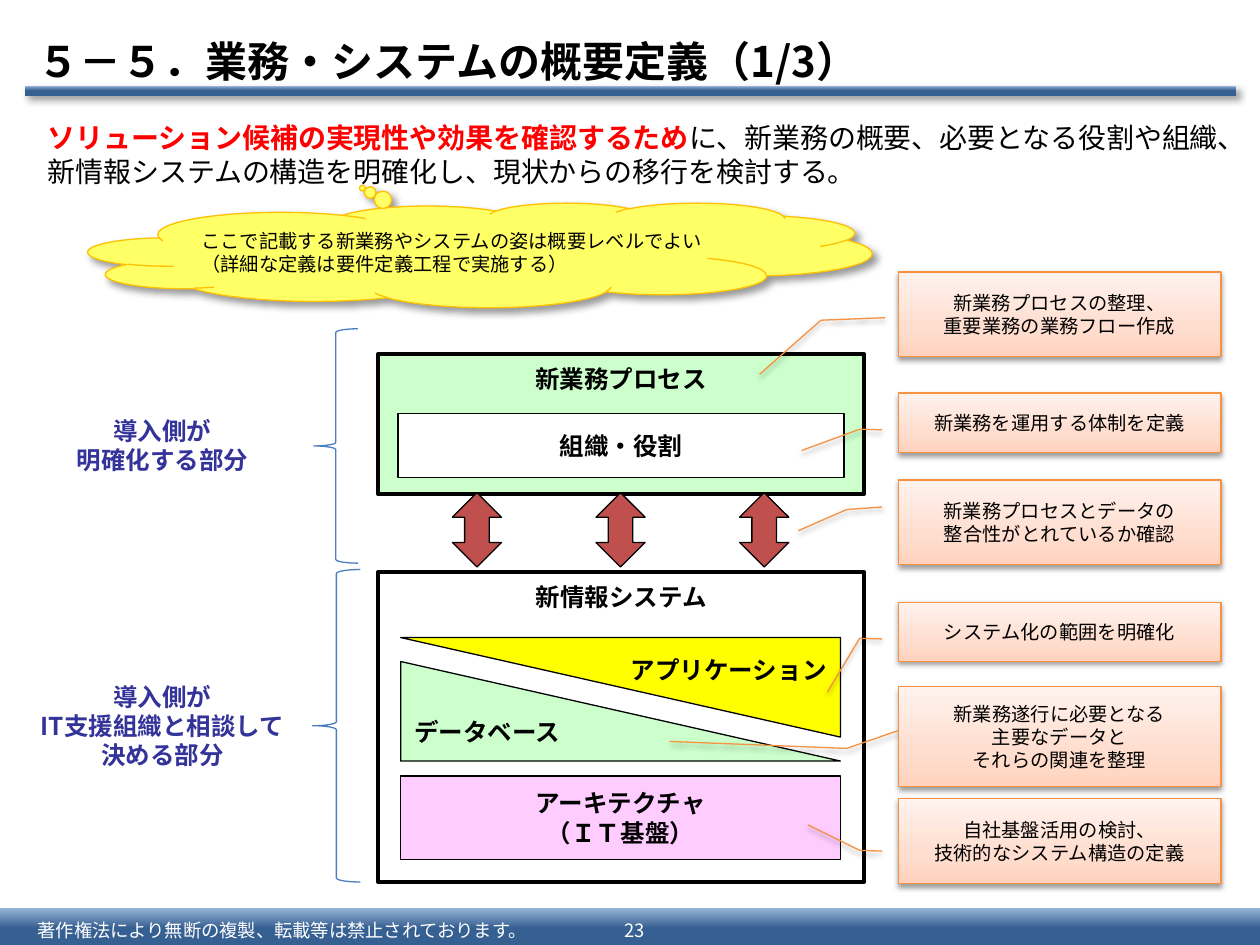
from lxml import etree
from pptx import Presentation
from pptx.dml.color import RGBColor
from pptx.enum.shapes import MSO_SHAPE
from pptx.enum.text import MSO_ANCHOR, MSO_AUTO_SIZE, PP_ALIGN
from pptx.oxml.ns import qn
from pptx.util import Inches, Pt

COLUMNS, ROWS = 100, 75
TITLE_ONLY = 5

RECT = MSO_SHAPE.RECTANGLE
TRIANGLE = MSO_SHAPE.RIGHT_TRIANGLE
ARROW = MSO_SHAPE.UP_DOWN_ARROW
CLOUD = MSO_SHAPE.CLOUD_CALLOUT
CALLOUT = MSO_SHAPE.LINE_CALLOUT_2
BRACE = MSO_SHAPE.LEFT_BRACE
LEFT, CENTER, RIGHT = PP_ALIGN.LEFT, PP_ALIGN.CENTER, PP_ALIGN.RIGHT
TOP, MIDDLE = MSO_ANCHOR.TOP, MSO_ANCHOR.MIDDLE

BLACK = RGBColor(0x00, 0x00, 0x00)
WHITE = RGBColor(0xFF, 0xFF, 0xFF)
RED = RGBColor(0xFF, 0x00, 0x00)
NAVY = RGBColor(0x33, 0x33, 0x99)
BLUE = RGBColor(0x4B, 0x7E, 0xBC)
GREEN = RGBColor(0xCC, 0xFF, 0xCC)
YELLOW = RGBColor(0xFF, 0xFF, 0x00)
PALE_YELLOW = RGBColor(0xFF, 0xFF, 0x66)
GOLD = RGBColor(0xFF, 0xC0, 0x00)
PINK = RGBColor(0xFF, 0xCC, 0xFF)
BRICK = RGBColor(0xC0, 0x50, 0x4D)
ORANGE = RGBColor(0xF6, 0x92, 0x40)
STEEL = RGBColor(0x37, 0x60, 0x92)
PALE_STEEL = RGBColor(0x95, 0xB3, 0xD7)

BAND = [(0, STEEL), (50, STEEL), (100, PALE_STEEL)]
PEACH = [(0, RGBColor(0xFF, 0xD2, 0xBD)), (35, RGBColor(0xFF, 0xDE, 0xD0)),
         (100, RGBColor(0xFF, 0xF2, 0xED))]
# Opacity %, blur pt, distance pt, direction in degrees
DIAGONAL_SHADOW = (40, 4, 3, 45)
DROP_SHADOW = (38, 3.1, 1.6, 90)


class Deck:
    """Slide style; every box is (column, row, columns, rows) on the grid."""

    font = "Noto Sans CJK JP"

    def __init__(self):
        self.prs = Presentation()
        self.prs.slide_width, self.prs.slide_height = Inches(10), Inches(7.5)
        self.col = self.prs.slide_width / COLUMNS
        self.row = self.prs.slide_height / ROWS
        self.s = self.prs.slides.add_slide(self.prs.slide_layouts[TITLE_ONLY])

    def place(self, box):
        x, y, w, h = box
        return (round(x * self.col), round(y * self.row),
                round(w * self.col), round(h * self.row))

    def add_lines(self, sp, text, size, color=BLACK, bold=False, align=CENTER,
                  anchor=MIDDLE, margins=(0.1, 0.05), wrap=True):
        """Text is lines, or a list of (text, color, bold) runs in one line."""
        tf = sp.text_frame
        tf.auto_size = MSO_AUTO_SIZE.NONE
        tf.word_wrap, tf.vertical_anchor = wrap, anchor
        tf.margin_left = tf.margin_right = Inches(margins[0])
        tf.margin_top = tf.margin_bottom = Inches(margins[1])
        if isinstance(text, str):
            lines = [[(line, color, bold)] for line in text.split("\n")]
        else:
            lines = [text]
        for i, runs in enumerate(lines):
            p = tf.add_paragraph() if i else tf.paragraphs[0]
            p.alignment = align
            for words, run_color, run_bold in runs:
                r = p.add_run()
                r.text = words
                r.font.size, r.font.bold = Pt(size), run_bold
                r.font.color.rgb = run_color
                r.font.name = self.font
                etree.SubElement(r.font._element, qn("a:ea"), typeface=self.font)

    def title(self, box, text):
        sp = self.s.shapes.title
        sp.left, sp.top, sp.width, sp.height = self.place(box)
        self.add_lines(sp, text, 24, bold=True, align=LEFT)

    def text(self, box, text, size=14, **style):
        sp = self.s.shapes.add_textbox(*self.place(box))
        self.add_lines(sp, text, size, **style)

    def gradient(self, sp, stops):
        sp.fill.gradient()
        sp.fill.gradient_angle = 90
        stop_list = sp._element.spPr.find(qn("a:gradFill")).find(qn("a:gsLst"))
        stop_list.clear()
        for pos, color in stops:
            gs = etree.SubElement(stop_list, qn("a:gs"), pos=str(pos * 1000))
            etree.SubElement(gs, qn("a:srgbClr"), val=str(color))

    def cast_shadow(self, sp, shadow):
        opacity, blur, dist, angle = shadow
        effects = sp._element.spPr.find(qn("a:effectLst"))
        outer = etree.SubElement(
            effects, qn("a:outerShdw"), blurRad=str(Pt(blur)),
            dist=str(Pt(dist)), dir=str(angle * 60000), rotWithShape="0")
        color = etree.SubElement(outer, qn("a:srgbClr"), val=str(BLACK))
        etree.SubElement(color, qn("a:alpha"), val=str(opacity * 1000))

    def shape(self, kind, box, fill=None, line=BLACK, width=0.75, adj=(),
              shadow=None, rotation=0):
        sp = self.s.shapes.add_shape(kind, *self.place(box))
        sp.rotation = rotation
        for i, value in enumerate(adj):
            sp.adjustments[i] = value
        if fill is None:
            sp.fill.background()
        elif isinstance(fill, list):
            self.gradient(sp, fill)
        else:
            sp.fill.solid()
            sp.fill.fore_color.rgb = fill
        if line is None:
            sp.line.fill.background()
        else:
            sp.line.color.rgb = line
            sp.line.width = Pt(width)
        sp.shadow.inherit = False
        if shadow:
            self.cast_shadow(sp, shadow)
        return sp

    def block(self, box, fill, text, width=0.75, anchor=MIDDLE):
        sp = self.shape(RECT, box, fill, width=width)
        self.add_lines(sp, text, 14, bold=True, anchor=anchor,
                       margins=(0.08, 0.08))

    def note(self, top, height, adj, text):
        sp = self.shape(CALLOUT, (71.3, top, 25.6, height), PEACH, ORANGE,
                        adj=adj, shadow=DROP_SHADOW)
        self.add_lines(sp, text, 11, margins=(0.04, 0.04), wrap=False)


def main():
    d = Deck()
    d.shape(RECT, (0, 72.1, 100, 3.1), BAND, None)
    d.shape(RECT, (2, 6.8, 96.1, 0.8), BAND, None, shadow=DIAGONAL_SHADOW)
    footer = dict(size=10.5, color=WHITE, margins=(0.1, 0.04))
    d.text((2, 72.5, 42.5, 2.6), "著作権法により無断の複製、転載等は禁止されております。",
           align=LEFT, **footer)
    d.text((47.6, 72.5, 5.5, 2.6), "23", **footer)

    d.title((2, 2.1, 98, 5.4), "５－５．業務・システムの概要定義（1/3）")
    d.text((2.8, 9.1, 95.8, 6.4), [
        ("ソリューション候補の実現性や効果を確認するため", RED, True),
        ("に、新業務の概要、必要となる役割や組織、"
         "新情報システムの構造を明確化し、現状からの移行を検討する。", BLACK, False),
    ], 16, align=LEFT, anchor=TOP)

    d.block((30, 45.4, 38.6, 24.6), WHITE, "新情報システム", 2.25, TOP)
    d.shape(TRIANGLE, (31.8, 50.6, 34.9, 7.9), YELLOW, rotation=180)
    d.block((31.8, 61.6, 34.9, 6.6), PINK, "アーキテクチャ\n（ＩＴ基盤）")
    d.shape(TRIANGLE, (31.8, 52.5, 34.9, 7.9), GREEN)
    d.block((30, 28.1, 38.6, 11.1), GREEN, "新業務プロセス", 2.25, TOP)
    d.block((31.6, 32.8, 35.4, 5.1), WHITE, "組織・役割")
    for i in range(3):
        d.shape(ARROW, (35.9 + 11.4 * i, 39.1, 3.9, 5.9), BRICK)
    d.text((41.8, 51.5, 24.8, 3.4), "アプリケーション",
           bold=True, align=RIGHT, anchor=TOP)
    d.text((31.9, 56.4, 17.3, 3.4), "データベース",
           bold=True, align=LEFT, anchor=TOP)

    cloud = d.shape(CLOUD, (7, 16.1, 62.2, 8.3), PALE_YELLOW, GOLD,
                    adj=(-0.15, -0.64), shadow=DIAGONAL_SHADOW)
    d.add_lines(cloud, "ここで記載する新業務やシステムの姿は概要レベルでよい\n"
                "（詳細な定義は要件定義工程で実施する）", 11, align=LEFT,
                margins=(0.04, 0.04))

    elbow = (0.62, -0.05, 0.61, -0.12)
    notes = [
        (31.2, 4.7, (*elbow, 0.97, -0.3), "新業務を運用する体制を定義"),
        (47.8, 4.7, (*elbow, 1.52, -0.22), "システム化の範囲を明確化"),
        (63.4, 6.7, (*elbow, 0.31, -0.28),
         "自社基盤活用の検討、\n技術的なシステム構造の定義"),
        (21.6, 6.7, (0.54, -0.04, 0.57, -0.24, 1.21, -0.43),
         "新業務プロセスの整理、\n重要業務の業務フロー作成"),
        (38.1, 6.7, (0.32, -0.05, 0.35, -0.16, 0.6, -0.31),
         "新業務プロセスとデータの\n整合性がとれているか確認"),
        (54.5, 7.9, (0.44, 0, 0.62, -0.16, 0.55, -0.71),
         "新業務遂行に必要となる\n主要なデータと\nそれらの関連を整理"),
    ]
    for note in notes:
        d.note(*note)

    d.shape(BRACE, (24.9, 26.1, 3.5, 18.6), line=BLUE)
    d.shape(BRACE, (24.8, 45.2, 3.8, 24.8), line=BLUE)
    for top, height, text in [
            (32.5, 5.7, "導入側が\n明確化する部分"),
            (53.6, 8.1, "導入側が\nIT支援組織と相談して\n決める部分")]:
        d.text((1.4, top, 23, height), text, color=NAVY, bold=True, anchor=TOP)

    d.prs.save("out.pptx")


if __name__ == "__main__":
    main()
